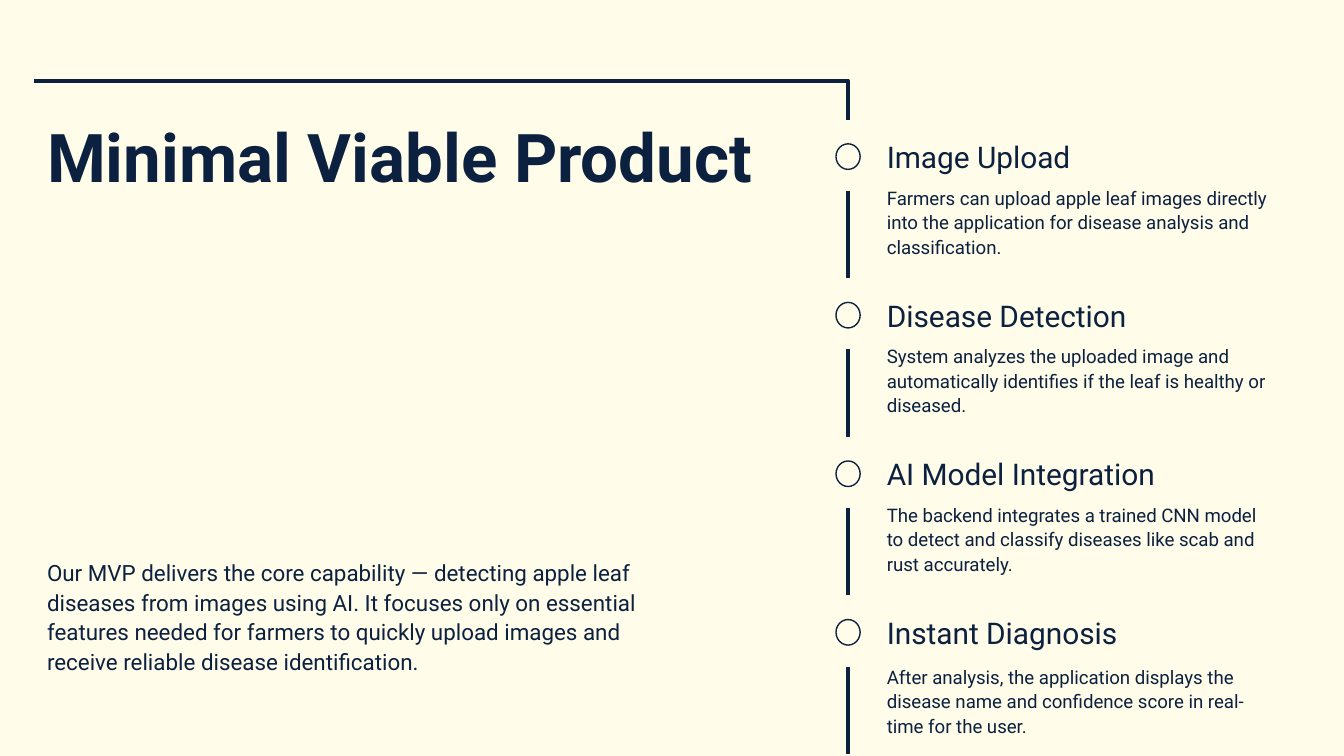
"""Build the Minimal Viable Product slide with a four-step timeline."""
from dataclasses import dataclass

from pptx import Presentation, util as u
from pptx.dml.color import RGBColor
from pptx.enum import shapes, text
from pptx.oxml import ns, xmlchemy

INK, PAPER = "0B213F", "FFFCE9"
WIDTH = 10
HEIGHT = WIDTH * 9 / 16
MARGIN = 0.25
TEXT_LEFT = 6.5
RAIL = 6.31
FIRST_ROW, ROW_PITCH = 1.07, 1.18
RING_WIDTH, ROW_HEIGHT = 0.18, 0.19
STEM_OFFSET, STEM_LENGTH = 0.35, 0.65


@dataclass(frozen=True)
class Box:
    """A rectangle in inches."""
    left: float
    top: float
    width: float
    height: float

    def lengths(self) -> list:
        """Return the four lengths for python-pptx."""
        return [u.Inches(v) for v in (self.left, self.top, self.width, self.height)]


@dataclass(frozen=True)
class Step:
    """One stop on the timeline."""
    heading: str
    detail: str
    detail_height: float = 0.65


STEPS = [
    Step("Image Upload", "Farmers can upload apple leaf images directly into the "
         "application for disease analysis and classification."),
    Step("Disease Detection", "System analyzes the uploaded image and automatically "
         "identifies if the leaf is healthy or diseased."),
    Step("AI Model Integration", "The backend integrates a trained CNN model to detect "
         "and classify diseases like scab and rust accurately."),
    Step("Instant Diagnosis", "After analysis, the application displays the disease "
         "name and confidence score in real-time for the user.", 0.7),
]
INTRO = ("Our MVP delivers the core capability — detecting apple leaf diseases from "
         "images using AI. It focuses only on essential features needed for farmers to "
         "quickly upload images and receive reliable disease identification.")


def colour(value: str) -> RGBColor:
    """Turn a hex string into a colour."""
    return RGBColor.from_string(value)


def apply(target, values: dict) -> None:
    """Set each named attribute on the target."""
    for name, value in values.items():
        setattr(target, name, value)


def write(shape, box: Box, words: str, size: float, spacing: float = 1.0,
          bold: bool = False, anchor=text.MSO_ANCHOR.MIDDLE) -> None:
    """Place a text shape and fill it with one formatted paragraph."""
    apply(shape, dict(zip(("left", "top", "width", "height"), box.lengths())))
    frame = shape.text_frame
    frame.text = words
    inset = u.Inches(0.1)
    apply(frame, {"word_wrap": True, "auto_size": text.MSO_AUTO_SIZE.NONE,
                  "vertical_anchor": anchor, "margin_left": inset,
                  "margin_right": inset, "margin_top": inset, "margin_bottom": inset})
    paragraph = frame.paragraphs[0]
    properties = paragraph._p.get_or_add_pPr()
    apply(paragraph, {"alignment": text.PP_ALIGN.LEFT, "line_spacing": spacing,
                      "space_before": u.Pt(0), "space_after": u.Pt(0)})
    properties.set("marL", "0")
    properties.set("indent", "0")
    properties.append(xmlchemy.OxmlElement("a:buNone"))
    font = paragraph.runs[0].font
    apply(font, {"name": "Roboto", "size": u.Pt(size), "bold": bold})
    font.color.rgb = colour(INK)


def outline(shape, weight: float) -> None:
    """Give a shape an ink line without shadow."""
    shape.line.color.rgb = colour(INK)
    shape.line.width = u.Pt(weight)
    if hasattr(shape, "shadow"):
        shape.shadow.inherit = False
    else:
        shape._element.find(ns.qn("p:spPr")).append(xmlchemy.OxmlElement("a:effectLst"))


def draw_frame(slide) -> None:
    """Draw the corner line that leads into the timeline."""
    top = 0.6
    builder = slide.shapes.build_freeform(u.Inches(MARGIN), u.Inches(top))
    corners = [(RAIL, top), (RAIL, 0.89)]
    builder.add_line_segments([(u.Inches(x), u.Inches(y)) for x, y in corners], close=False)
    frame = builder.convert_to_shape()
    frame.fill.background()
    outline(frame, 2.25)


def draw_step(slide, row: int, step: Step) -> None:
    """Draw the ring, stem, heading and detail of one step."""
    top = FIRST_ROW + row * ROW_PITCH
    write(slide.shapes.add_textbox(0, 0, 0, 0),
          Box(TEXT_LEFT, top, 3.28, ROW_HEIGHT), step.heading, 16)
    write(slide.shapes.add_textbox(0, 0, 0, 0),
          Box(TEXT_LEFT, top + 0.25, 3.08, step.detail_height), step.detail, 10, 1.1)
    ring = slide.shapes.add_shape(
        shapes.MSO_SHAPE.OVAL,
        *Box(RAIL - RING_WIDTH / 2, top, RING_WIDTH, ROW_HEIGHT).lengths())
    ring.fill.background()
    outline(ring, 0.75)
    start = top + STEM_OFFSET
    stem = slide.shapes.add_connector(
        shapes.MSO_CONNECTOR.STRAIGHT, u.Inches(RAIL), u.Inches(start),
        u.Inches(RAIL), u.Inches(start + STEM_LENGTH))
    outline(stem, 2.25)


def main() -> None:
    """Create and save the presentation."""
    presentation = Presentation()
    apply(presentation, {"slide_width": u.Inches(WIDTH), "slide_height": u.Inches(HEIGHT)})
    slide = presentation.slides.add_slide(presentation.slide_layouts[1])
    background = slide.background.fill
    background.solid()
    background.fore_color.rgb = colour(PAPER)
    write(slide.shapes.title, Box(MARGIN, 0.76, 5.64, 0.88), "Minimal Viable Product",
          36, bold=True, anchor=text.MSO_ANCHOR.TOP)
    write(slide.placeholders[1], Box(MARGIN, 3.78, 4.69, 1.6), INTRO, 12, 1.1)
    draw_frame(slide)
    for row, step in enumerate(STEPS):
        draw_step(slide, row, step)
    presentation.save("out.pptx")


if __name__ == "__main__":
    main()
